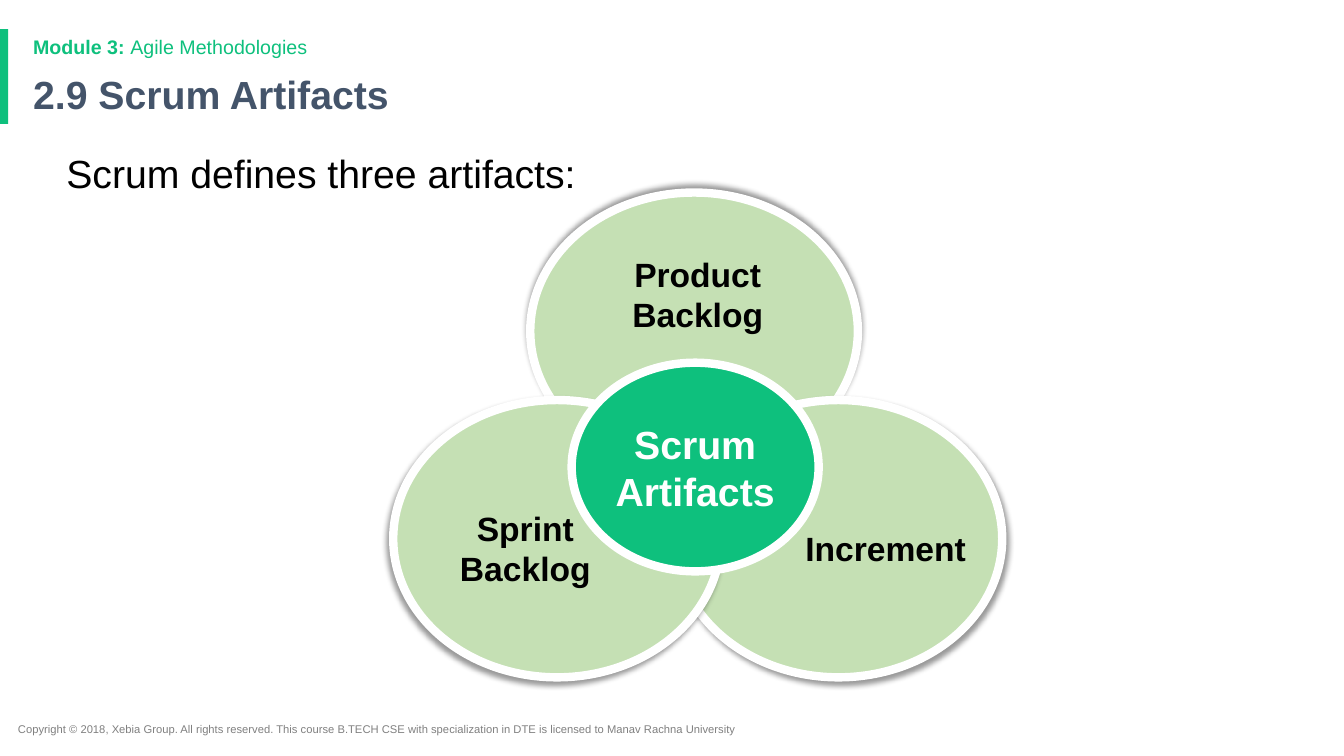
from dataclasses import dataclass

from lxml.etree import SubElement
from pptx import Presentation
from pptx.dml.color import RGBColor
from pptx.enum.shapes import MSO_SHAPE as Shape
from pptx.enum.text import MSO_ANCHOR as Anchor, PP_ALIGN as Align
from pptx.oxml.ns import qn
from pptx.util import Inches, Pt


@dataclass(frozen=True)
class Theme:
    font: str = "Arial"
    accent: str = "0EC07D"
    heading: str = "44546A"
    petal: str = "C5E0B4"
    ink: str = "000000"
    paper: str = "FFFFFF"
    muted: str = "808080"
    large: int = 28
    label: int = 24
    small: int = 14
    tiny: int = 8
    outline: int = 6


THEME = Theme()


@dataclass(frozen=True)
class Box:
    left: float
    top: float
    width: float
    height: float

    def inner(self, left, top, width, height):
        """Return an inner box given in percent of this one."""
        return Box(self.left + self.width * left / 100,
                   self.top + self.height * top / 100,
                   self.width * width / 100, self.height * height / 100)

    def lengths(self):
        return [Inches(n) for n in (self.left, self.top, self.width, self.height)]


SLIDE = Box(0, 0, 13.33, 7.5)


def write(shape, *spans, size, color, bold=False, align=Align.LEFT,
          anchor=Anchor.TOP, inset=(0.1, 0.05), line_spacing=None):
    """Fill a shape with one paragraph; a span is text or (text, bold)."""
    frame = shape.text_frame
    frame.word_wrap = True
    frame.vertical_anchor = anchor
    frame.margin_left = frame.margin_right = Inches(inset[0])
    frame.margin_top = frame.margin_bottom = Inches(inset[1])
    para = frame.paragraphs[0]
    para.alignment = align
    if line_spacing:
        para.line_spacing = line_spacing
    for span in spans:
        text, heavy = (span, bold) if isinstance(span, str) else span
        run = para.add_run()
        run.text = text
        run.font.name = THEME.font
        run.font.size = Pt(size)
        run.font.bold = heavy
        run.font.color.rgb = RGBColor.from_string(color)


def add_text(page, box, *spans, **style):
    write(page.shapes.add_textbox(*box.lengths()), *spans, **style)


def add_solid(page, kind, box, fill, outlined=False):
    shape = page.shapes.add_shape(kind, *box.lengths())
    shape.shadow.inherit = False
    shape.fill.solid()
    shape.fill.fore_color.rgb = RGBColor.from_string(fill)
    if outlined:
        shape.line.color.rgb = RGBColor.from_string(THEME.paper)
        shape.line.width = Pt(THEME.outline)
    else:
        shape.line.fill.background()
    return shape


def cast_shadow(shape, degrees):
    effects = shape._element.spPr.find(qn("a:effectLst"))
    shadow = SubElement(effects, qn("a:outerShdw"), blurRad=str(Pt(4)),
                        dist=str(Pt(3)), dir=str(degrees * 60000), rotWithShape="0")
    color = SubElement(shadow, qn("a:srgbClr"), val=THEME.ink)
    SubElement(color, qn("a:alpha"), val="40000")


def draw_header(page, box):
    add_solid(page, Shape.RECTANGLE, box.inner(0, 0, 0.6, 100), THEME.accent)
    add_text(page, box.inner(1.73, 1, 92.65, 35), ("Module 3: ", True),
             "Agile Methodologies", size=THEME.small, color=THEME.accent,
             anchor=Anchor.MIDDLE)
    add_text(page, box.inner(1.73, 42.5, 86.27, 57.5), "2.9 Scrum Artifacts",
             size=THEME.large, color=THEME.heading, bold=True,
             anchor=Anchor.MIDDLE, line_spacing=0.9)


def draw_artifacts(page, box):
    wide, high = 53.8, 57.2
    right, low = 100 - wide, 100 - high
    label_top, label_high = 64.03, 18.5
    inset = (0.13, 0.13)
    # Petals: text, corner, label box, alignment, shadow direction
    petals = [
        ("Product Backlog", (22.5, 0), (31.46, 11.64, 37.09), Align.CENTER, 270),
        ("Increment", (right, low), (62.58, label_top, 33.61), Align.RIGHT, 45),
        ("Sprint Backlog", (0, low), (3.81, label_top, 35.76), Align.CENTER, 135),
    ]
    for text, corner, label, align, degrees in petals:
        petal = add_solid(page, Shape.OVAL, box.inner(*corner, wide, high),
                          THEME.petal, outlined=True)
        cast_shadow(petal, degrees)
        add_text(page, box.inner(*label, label_high), text, size=THEME.label,
                 color=THEME.ink, bold=True, align=align,
                 anchor=Anchor.MIDDLE, inset=inset)
    # Core
    core = add_solid(page, Shape.OVAL, box.inner(29.3, 35.1, 40.56, 43.04),
                     THEME.accent, outlined=True)
    write(core, "Scrum Artifacts", size=THEME.large, color=THEME.paper, bold=True,
          align=Align.CENTER, anchor=Anchor.MIDDLE, inset=(0, 0.13))


def draw_footer(page, box):
    add_text(page, box, "Copyright © 2018, Xebia Group. All rights reserved. "
             "This course B.TECH CSE with specialization in DTE is licensed to "
             "Manav Rachna University", size=THEME.tiny, color=THEME.muted)


def main():
    deck = Presentation()
    deck.slide_width, deck.slide_height = SLIDE.lengths()[2:]
    page = deck.slides.add_slide(deck.slide_layouts[6])
    draw_header(page, SLIDE.inner(0, 3.87, 100, 12.53))
    add_text(page, SLIDE.inner(4.2, 19.07, 84.32, 70.53),
             "Scrum defines three artifacts:", size=THEME.large, color=THEME.ink)
    draw_artifacts(page, SLIDE.inner(29.26, 25.47, 45.31, 64.13))
    draw_footer(page, SLIDE.inner(0.6, 94.93, 62.42, 3.2))
    deck.save("out.pptx")


if __name__ == "__main__":
    main()
